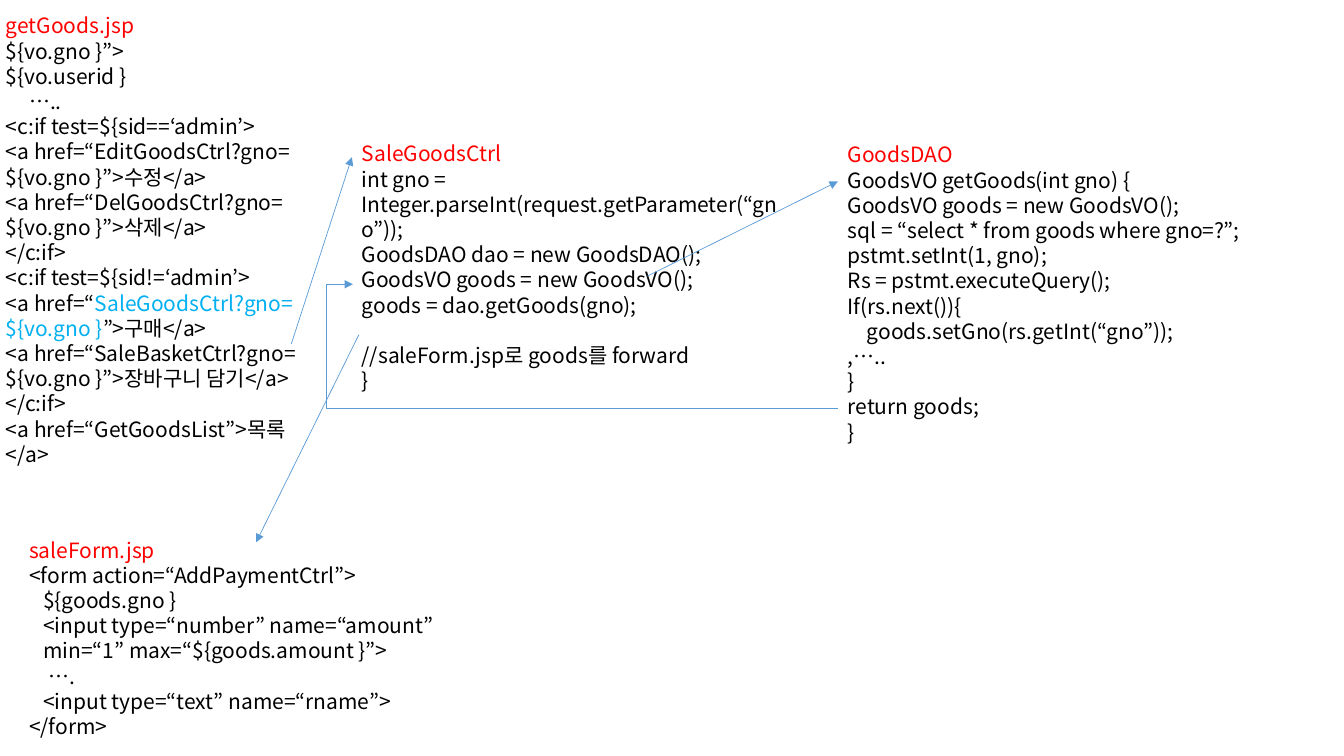
from dataclasses import dataclass

from lxml.etree import SubElement
from pptx import Presentation
from pptx.dml.color import RGBColor
from pptx.enum.shapes import MSO_CONNECTOR as Link
from pptx.enum.text import MSO_AUTO_SIZE as AutoSize
from pptx.oxml.ns import qn
from pptx.util import Inches, Pt


@dataclass(frozen=True)
class Theme:
    """Colours, font and sizes of the slide."""
    font: str = "Noto Sans CJK KR"
    size: float = 15
    pitch: float = 18
    line_width: float = 0.5
    heading: str = "FF0000"
    code: str = "000000"
    accent: str = "00B0F0"
    arrow: str = "5B9BD5"


THEME = Theme()


@dataclass(frozen=True)
class Line:
    """A code line made of (text, colour) spans, with its indent and gap above."""
    spans: tuple
    indent: float = 0
    gap: float = 0


def code(text, **layout):
    """Return a line in the code colour."""
    return Line(((text, THEME.code),), **layout)


def add_span(para, text, font, size, color):
    """Add a formatted run of text to a paragraph."""
    span = para.add_run()
    span.text = text
    span.font.name = font
    span.font.size = Pt(size)
    span.font.color.rgb = RGBColor.from_string(color)
    SubElement(span.font._element, qn("a:ea"), typeface=font)


class FlowSlide:
    """Draws code listings and the arrows between them."""

    def __init__(self, slide, theme):
        self.shapes = slide.shapes
        self.theme = theme

    def listing(self, left, top, width, height, heading, lines):
        """Add a code listing under a coloured heading."""
        theme = self.theme
        box = self.shapes.add_textbox(*map(Inches, (left, top, width, height)))
        frame = box.text_frame
        frame.word_wrap = True
        frame.auto_size = AutoSize.SHAPE_TO_FIT_TEXT
        rows = [Line(((heading, theme.heading),)), *lines]
        for number, row in enumerate(rows):
            para = frame.add_paragraph() if number else frame.paragraphs[0]
            para.line_spacing = Pt(theme.pitch)
            para.space_before = Pt(row.gap)
            if row.indent:
                para._p.get_or_add_pPr().set("marL", str(Inches(row.indent)))
            for text, color in row.spans:
                add_span(para, text, font=theme.font, size=theme.size, color=color)

    def arrow(self, start, end, kind=Link.STRAIGHT):
        """Add a thin connector with an arrowhead at its end."""
        link = self.shapes.add_connector(kind, *map(Inches, (*start, *end)))
        link.line.color.rgb = RGBColor.from_string(self.theme.arrow)
        link.line.width = Pt(self.theme.line_width)
        SubElement(link.line._get_or_add_ln(), qn("a:tailEnd"), type="triangle")
        SubElement(link._element.spPr, qn("a:effectLst"))
        return link

    def return_arrow(self, start, end, bend):
        """Add an elbow arrow running back to the left, bent past its end."""
        link = self.arrow(end, start, Link.ELBOW)
        properties = link._element.spPr
        properties.find(qn("a:xfrm")).set("rot", "10800000")
        guides = properties.find(qn("a:prstGeom")).find(qn("a:avLst"))
        SubElement(guides, qn("a:gd"), name="adj1", fmla=f"val {round(bend * 100000)}")


SALE_CONTROLLER = [
    code("int gno = Integer.parseInt(request.getParameter(“gno”));"),
    code("GoodsDAO dao = new GoodsDAO();"),
    code("GoodsVO goods = new GoodsVO();"),
    code("goods = dao.getGoods(gno);"),
    code("//saleForm.jsp로 goods를 forward", gap=THEME.pitch),
    code("}"),
]

GOODS_DAO = [
    code("GoodsVO getGoods(int gno) {"),
    code("GoodsVO goods = new GoodsVO();"),
    code("sql = “select * from goods where gno=?”;"),
    code("pstmt.setInt(1, gno);"),
    code("Rs = pstmt.executeQuery();"),
    code("If(rs.next()){"),
    code("goods.setGno(rs.getInt(“gno”));", indent=0.19),
    code(",….."),
    code("}"),
    code("return goods;"),
    code("}"),
]

SALE_FORM = [
    code("<form action=“AddPaymentCtrl”>"),
    code("${goods.gno }", indent=0.14),
    code("<input type=“number” name=“amount”", indent=0.14),
    code("min=“1” max=“${goods.amount }”>", indent=0.14),
    code("….", indent=0.19),
    code("<input type=“text” name=“rname”>", indent=0.14),
    code("</form>"),
]

GOODS_PAGE = [
    code("${vo.gno }”>"),
    code("${vo.userid }"),
    code("…..", indent=0.23),
    code("<c:if test=${sid==‘admin’>"),
    code("<a href=“EditGoodsCtrl?gno="),
    code("${vo.gno }”>수정</a>"),
    code("<a href=“DelGoodsCtrl?gno="),
    code("${vo.gno }”>삭제</a>"),
    code("</c:if>"),
    code("<c:if test=${sid!=‘admin’>"),
    Line((("<a href=“", THEME.code), ("SaleGoodsCtrl?gno=", THEME.accent))),
    Line((("${vo.gno }", THEME.accent), ("”>구매</a>", THEME.code))),
    code("<a href=“SaleBasketCtrl?gno="),
    code("${vo.gno }”>장바구니 담기</a>"),
    code("</c:if>"),
    code("<a href=“GetGoodsList”>목록</a>"),
]


def main():
    """Build and save the goods sale flow slide."""
    deck = Presentation()
    deck.slide_width, deck.slide_height = Inches(13.33), Inches(7.5)
    page = FlowSlide(deck.slides.add_slide(deck.slide_layouts[6]), THEME)

    page.listing(3.49, 1.35, 4.4, 2.37, "SaleGoodsCtrl", SALE_CONTROLLER)
    page.listing(8.31, 1.36, 4.4, 3.13, "GoodsDAO", GOODS_DAO)
    page.listing(0.19, 5.28, 4.25, 2.12, "saleForm.jsp", SALE_FORM)

    page.arrow((2.89, 3.41), (3.49, 1.56))
    page.arrow((6.42, 2.74), (8.31, 1.8))
    page.return_arrow((8.31, 4.05), (3.5, 2.82), bend=1.054)
    page.arrow((3.56, 3.32), (2.54, 5.38))

    page.listing(-0.04, 0.08, 3.18, 4.9, "getGoods.jsp", GOODS_PAGE)
    deck.save("out.pptx")


if __name__ == "__main__":
    main()
